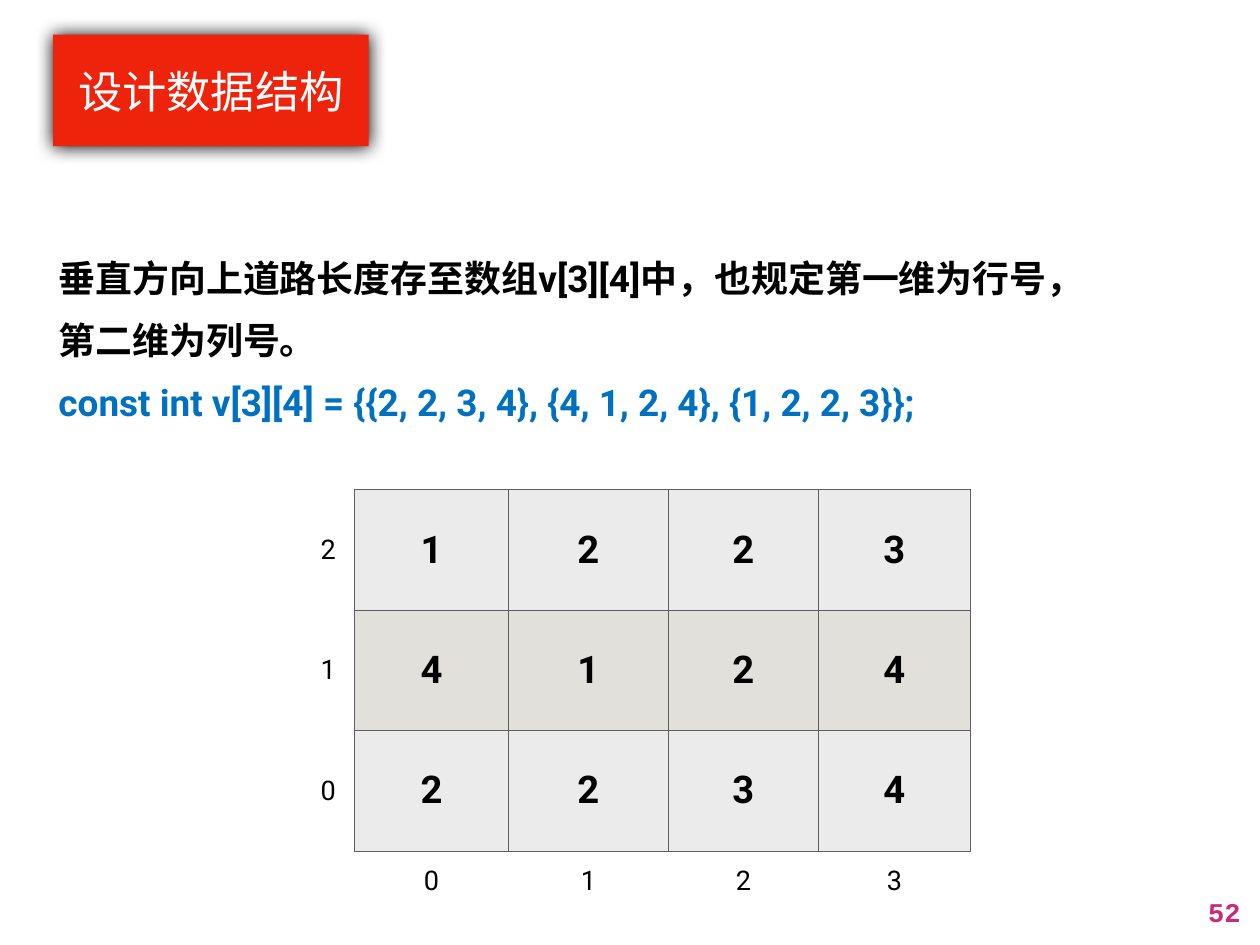
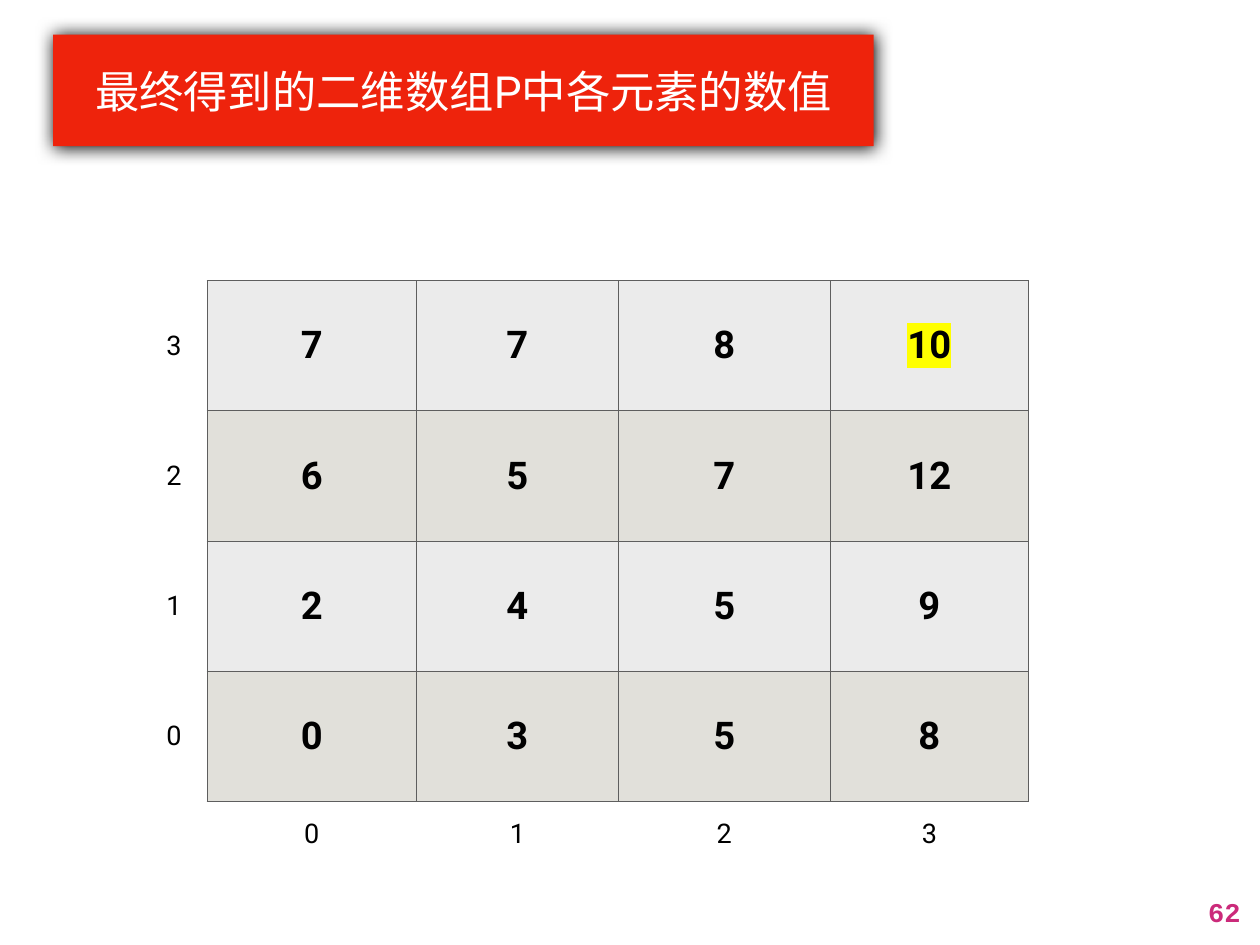
from dataclasses import dataclass

from lxml.etree import SubElement
from pptx import Presentation
from pptx.dml.color import RGBColor
from pptx.enum.lang import MSO_LANGUAGE_ID
from pptx.enum.text import MSO_ANCHOR, MSO_AUTO_SIZE, PP_ALIGN
from pptx.oxml import parse_xml
from pptx.oxml.ns import nsdecls, qn
from pptx.util import Inches, Pt

SLIDE_W, SLIDE_H = Inches(14.22), Inches(10.67)
FONT = "Roboto"
BLACK, WHITE, BLUE = "000000", "FFFFFF", "0070C0"
BANNER, PAGE_COLOUR, GRID_LINE = "EE230C", "CB2A7A", "5E5E5E"
STRIPES = ("EBEBEB", "E1E0DA")
HIGHLIGHT = "FFFF00"
PLAIN_TABLE = "{2D5ABB26-0587-4C30-8999-92F81FD0307C}"
BODY_LAYOUT, TITLE_LAYOUT = 1, 5


@dataclass(frozen=True)
class Style:
    size: float
    colour: str = BLACK
    bold: bool = False
    font: str = FONT


TITLE = Style(36, WHITE)
PAGE = Style(22, PAGE_COLOUR, True, "Courier New")
STATEMENT = Style(30, BLACK, True)
CODE = Style(30, BLUE, True)
INDEX = Style(22)
VALUE = Style(31, BLACK, True)


@dataclass(frozen=True)
class Box:
    """Place and size in percent of the slide's width and height."""
    left: float
    top: float
    width: float
    height: float

    def emu(self) -> tuple[int, int, int, int]:
        return (across(self.left), down(self.top),
                across(self.width), down(self.height))


@dataclass(frozen=True)
class Matrix:
    """Values from the top row down; column and row sizes are percentages."""
    left: float
    top: float
    index_column: float
    columns: tuple[float, ...]
    row: float
    index_row: float
    values: tuple[tuple[int, ...], ...]
    marked: tuple[int, int] | None = None


@dataclass(frozen=True)
class Page:
    number: int
    title: str
    title_width: float
    matrix: Matrix
    body: tuple[tuple[str, Style], ...] = ()


PAGE_BOX = Box(95.29, 94.1, 3.66, 4.69)
BODY_BOX = Box(4.22, 24.93, 83.61, 20.15)

PAGES = (
    Page(
        52, "设计数据结构", 25.04,
        Matrix(23.98, 51.83, 4.15, (12.24, 12.66, 11.95, 12.03), 12.75, 6.28,
               ((1, 2, 2, 3), (4, 1, 2, 4), (2, 2, 3, 4))),
        (("垂直方向上道路长度存至数组v[3][4]中，也规定第一维为行号，第二维为列号。",
          STATEMENT),
         ("const int v[3][4] = {{2, 2, 3, 4}, {4, 1, 2, 4}, {1, 2, 2, 3}};",
          CODE)),
    ),
    Page(
        62, "最终得到的二维数组P中各元素的数值", 65.12,
        Matrix(11.18, 29.71, 5.27, (16.6, 16.03, 16.81, 15.75), 13.78, 6.84,
               ((7, 7, 8, 10), (6, 5, 7, 12), (2, 4, 5, 9), (0, 3, 5, 8)),
               marked=(0, 3)),
    ),
)


def across(percent: float) -> int:
    return round(SLIDE_W * percent / 100)


def down(percent: float) -> int:
    return round(SLIDE_H * percent / 100)


def rgb(colour: str) -> RGBColor:
    return RGBColor.from_string(colour)


def set_all(target, **values) -> None:
    for name, value in values.items():
        setattr(target, name, value)


def set_margins(target, inches: float) -> None:
    for side in ("left", "top", "right", "bottom"):
        setattr(target, f"margin_{side}", Inches(inches))


def place(shape, box: Box) -> None:
    shape.left, shape.top, shape.width, shape.height = box.emu()


def write(paragraph, text: str, style: Style, align=PP_ALIGN.LEFT):
    paragraph.alignment = align
    run = paragraph.add_run()
    run.text = text
    run.font.color.rgb = rgb(style.colour)
    set_all(run.font, size=Pt(style.size), bold=style.bold, name=style.font,
            language_id=MSO_LANGUAGE_ID.SIMPLIFIED_CHINESE)
    SubElement(run.font._element, qn("a:ea"), typeface=style.font)
    return run


def highlight(run) -> None:
    latin = run.font._element.find(qn("a:latin"))
    latin.addprevious(parse_xml(
        f'<a:highlight {nsdecls("a")}><a:srgbClr val="{HIGHLIGHT}"/></a:highlight>'))


def add_title(slide, text: str, width: float) -> None:
    banner = slide.shapes.title
    place(banner, Box(4.22, 3.66, width, 11.81))
    banner.fill.solid()
    banner.fill.fore_color.rgb = rgb(BANNER)
    banner._element.spPr.append(parse_xml(
        f'<a:effectLst {nsdecls("a")}>'
        f'<a:outerShdw blurRad="{Pt(15)}" dist="{Pt(0.7)}" dir="5400000" '
        f'algn="ctr" rotWithShape="0"><a:srgbClr val="{BLACK}"/></a:outerShdw>'
        '</a:effectLst>'))
    frame = banner.text_frame
    set_all(frame, word_wrap=True, auto_size=MSO_AUTO_SIZE.NONE,
            vertical_anchor=MSO_ANCHOR.MIDDLE)
    set_margins(frame, 0.07)
    write(frame.paragraphs[0], text, TITLE, PP_ALIGN.CENTER)


def add_page_number(slide, number: int) -> None:
    frame = slide.shapes.add_textbox(*PAGE_BOX.emu()).text_frame
    set_all(frame, word_wrap=False, auto_size=MSO_AUTO_SIZE.SHAPE_TO_FIT_TEXT)
    set_margins(frame, 0.07)
    write(frame.paragraphs[0], str(number), PAGE, PP_ALIGN.RIGHT)


def add_body(slide, lines: tuple[tuple[str, Style], ...]) -> None:
    body = slide.placeholders[1]
    place(body, BODY_BOX)
    frame = body.text_frame
    set_all(frame, word_wrap=True, auto_size=MSO_AUTO_SIZE.NONE,
            vertical_anchor=MSO_ANCHOR.MIDDLE)
    set_margins(frame, 0.06)
    for position, (text, style) in enumerate(lines):
        paragraph = frame.add_paragraph() if position else frame.paragraphs[0]
        properties = paragraph._p.get_or_add_pPr()
        properties.set("marL", "0")
        properties.set("indent", "0")
        SubElement(properties, qn("a:buNone"))
        set_all(paragraph, line_spacing=1.4, space_before=Pt(0))
        write(paragraph, text, style)


def set_borders(cell, drawn: str) -> None:
    """Draw the sides named by the letters L, R, T and B; clear the others."""
    properties = cell._tc.get_or_add_tcPr()
    for position, side in enumerate("LRTB"):
        paint = (f'<a:solidFill><a:srgbClr val="{GRID_LINE}"/></a:solidFill>'
                 if side in drawn else "<a:noFill/>")
        properties.insert(position, parse_xml(
            f'<a:ln{side} {nsdecls("a")} w="{Pt(1)}">{paint}</a:ln{side}>'))


def fill_cell(cell, text: str, style: Style, fill: str | None, borders: str):
    if fill:
        cell.fill.solid()
        cell.fill.fore_color.rgb = rgb(fill)
    else:
        cell.fill.background()
    set_borders(cell, borders)
    set_margins(cell, 0.06)
    cell.vertical_anchor = MSO_ANCHOR.MIDDLE
    if text:
        return write(cell.text_frame.paragraphs[0], text, style, PP_ALIGN.CENTER)


def add_matrix(slide, matrix: Matrix) -> None:
    widths = (matrix.index_column, *matrix.columns)
    last = len(matrix.values)
    heights = (matrix.row,) * last + (matrix.index_row,)
    box = Box(matrix.left, matrix.top, sum(widths), sum(heights))
    frame = slide.shapes.add_table(len(heights), len(widths), *box.emu())
    table = frame.table
    set_all(table, first_row=False, horz_banding=False)
    table._tbl.tblPr.find(qn("a:tableStyleId")).text = PLAIN_TABLE
    for column, width in zip(table.columns, widths):
        column.width = across(width)
    for row, height in zip(table.rows, heights):
        row.height = down(height)

    for r, values in enumerate(matrix.values):
        fill_cell(table.cell(r, 0), str(last - 1 - r), INDEX, None, "R")
        for c, value in enumerate(values):
            run = fill_cell(table.cell(r, c + 1), str(value), VALUE,
                            STRIPES[r % 2], "LRTB")
            if (r, c) == matrix.marked:
                highlight(run)
    fill_cell(table.cell(last, 0), "", INDEX, None, "")
    for c in range(len(matrix.columns)):
        fill_cell(table.cell(last, c + 1), str(c), INDEX, None, "T")


def main() -> None:
    deck = Presentation()
    set_all(deck, slide_width=SLIDE_W, slide_height=SLIDE_H)
    for page in PAGES:
        layout = BODY_LAYOUT if page.body else TITLE_LAYOUT
        slide = deck.slides.add_slide(deck.slide_layouts[layout])
        add_page_number(slide, page.number)
        add_title(slide, page.title, page.title_width)
        if page.body:
            add_body(slide, page.body)
        add_matrix(slide, page.matrix)
    deck.save("out.pptx")


if __name__ == "__main__":
    main()
